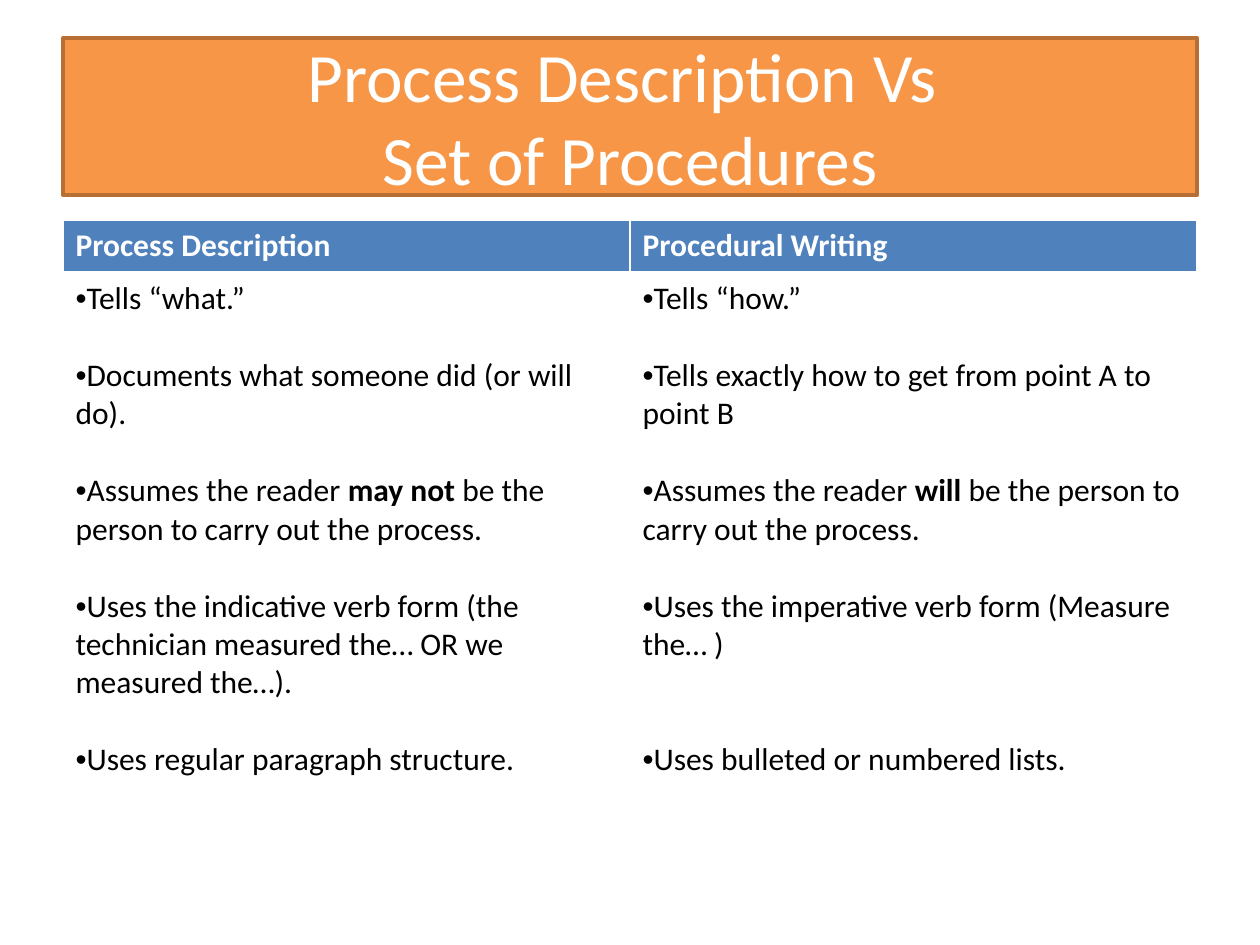
from lxml import etree
from pptx import Presentation
from pptx.dml.color import RGBColor
from pptx.enum.text import MSO_ANCHOR, MSO_AUTO_SIZE, PP_ALIGN
from pptx.oxml.ns import qn
from pptx.util import Pt

MIDDLE = MSO_ANCHOR.MIDDLE
FIXED = MSO_AUTO_SIZE.NONE
CENTER = PP_ALIGN.CENTER
ORANGE = RGBColor(0xF7, 0x96, 0x46)
BROWN = RGBColor(0xB7, 0x6F, 0x34)
BLUE = RGBColor(0x4F, 0x81, 0xBD)
WHITE = RGBColor(0xFF, 0xFF, 0xFF)
BLACK = RGBColor(0, 0, 0)
LEFT, WIDTH, GAP = 36, 648, 22


def style(font, size, color, bold=False):
    values = {"name": "Calibri", "size": Pt(size), "bold": bold}
    for key, value in values.items():
        setattr(font, key, value)
    font.color.rgb = color


def grid(top, heights, fill):
    height = sum(heights)
    frame = slide.shapes.add_table(
        len(heights), 2, Pt(LEFT), Pt(top), Pt(WIDTH), Pt(height))
    table = frame.table
    table.horz_banding = False
    for row, size in zip(table.rows, heights):
        row.height = Pt(size)
    for cell in table.iter_cells():
        cell.fill.solid()
        cell.fill.fore_color.rgb = fill
    return table


deck = Presentation()
deck.slide_width, deck.slide_height = Pt(720), Pt(540)
slide = deck.slides.add_slide(deck.slide_layouts[5])

title = slide.shapes.title
box = {"left": LEFT, "top": 21.6, "width": WIDTH, "height": 90}
for key, value in box.items():
    setattr(title, key, Pt(value))
title.fill.solid()
title.fill.fore_color.rgb = ORANGE
title.line.color.rgb = BROWN
title.line.width = Pt(2)
frame = title.text_frame
frame.text = "Process Description Vs \vSet of Procedures"
frame.auto_size = FIXED
frame.vertical_anchor = MIDDLE
para = frame.paragraphs[0]
para.alignment = CENTER
for run in para.runs:
    style(run.font, 39.6, WHITE)

head = grid(126, [29.2], BLUE)
for col, text in enumerate(["Process Description", "Procedural Writing"]):
    para = head.cell(0, col).text_frame.paragraphs[0]
    run = para.add_run()
    run.text = text
    style(run.font, 18, WHITE, True)

points = [
    [
        (0, ["Tells “what.”"]),
        (GAP, ["Documents what someone did (or will do)."]),
        (GAP, ["Assumes the reader ", "may not ",
               "be the person to carry out the process."]),
        (GAP, ["Uses the indicative verb form (the technician measured "
               "the… OR we measured the…)."]),
        (GAP, ["Uses regular paragraph structure."]),
    ],
    [
        (0, ["Tells “how.”"]),
        (GAP, ["Tells exactly how to get from point A to point B"]),
        (GAP, ["Assumes the reader ", "will",
               " be the person to carry out the process."]),
        (GAP, ["Uses the imperative verb form (Measure the… )"]),
        (2 * GAP, ["Uses bulleted or numbered lists."]),
    ],
]
body = grid(156, [309.6, 29.2], WHITE)
for col, items in enumerate(points):
    frame = body.cell(0, col).text_frame
    for row, (space, parts) in enumerate(items):
        para = frame.add_paragraph() if row else frame.paragraphs[0]
        para.space_before = Pt(space)
        props = para._p.get_or_add_pPr()
        props.set("marL", "0")
        props.set("indent", "0")
        etree.SubElement(props, qn("a:buFont")).set("typeface", "Arial")
        etree.SubElement(props, qn("a:buChar")).set("char", "•")
        for part, text in enumerate(parts):
            run = para.add_run()
            run.text = text
            style(run.font, 18, BLACK, part == 1)

deck.save("out.pptx")
